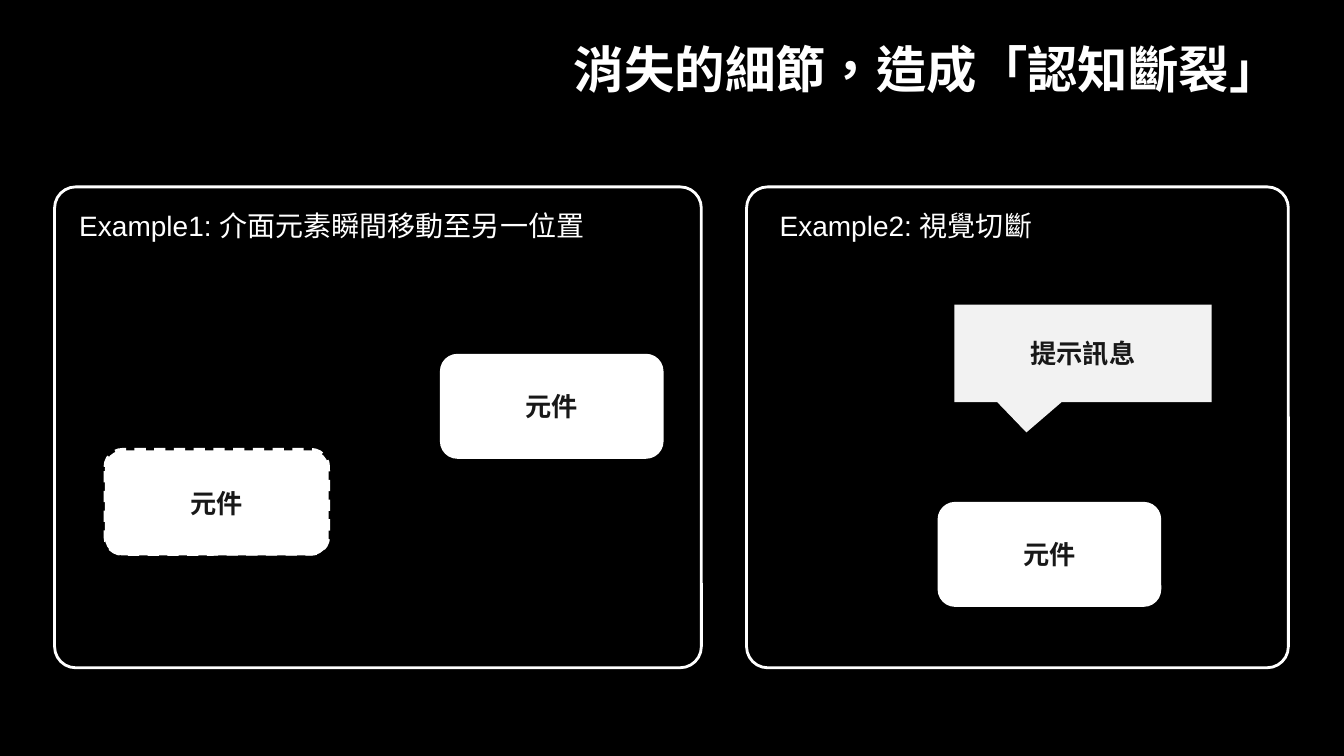
from dataclasses import dataclass
from typing import Optional

from lxml import etree
from pptx import Presentation
from pptx.dml.color import RGBColor
from pptx.enum import dml, lang, shapes, text
from pptx.oxml.ns import qn
from pptx.util import Pt

PX = 9525
WHITE, BLACK, INK, PALE = "FFFFFF", "000000", "181818", "F2F2F2"
CJK = "Noto Sans CJK SC"
ROUND = shapes.MSO_SHAPE.ROUNDED_RECTANGLE
CALLOUT = shapes.MSO_SHAPE.RECTANGULAR_CALLOUT


@dataclass
class Box:
    left: int
    top: int
    width: int
    height: int

    def emu(self) -> tuple:
        return tuple(n * PX for n in (self.left, self.top, self.width, self.height))


@dataclass
class Caption:
    box: Box
    words: str
    size: float = 20
    face: str = "Arial"
    bold: bool = False
    align: text.PP_ALIGN = text.PP_ALIGN.LEFT
    anchor: text.MSO_ANCHOR = text.MSO_ANCHOR.TOP
    inset: int = 5


@dataclass
class Block:
    box: Box
    words: str = ""
    fill: Optional[str] = None
    line: Optional[str] = None
    dashed: bool = False
    preset: shapes.MSO_SHAPE = ROUND
    adjust: tuple = ()


def colour(value: str) -> RGBColor:
    return RGBColor.from_string(value)


def write(frame, words: str, size: float, face: str, ink: str, bold: bool,
          align: text.PP_ALIGN, anchor: text.MSO_ANCHOR) -> None:
    frame.word_wrap = True
    frame.vertical_anchor = anchor
    paragraph = frame.paragraphs[0]
    paragraph.text = words
    paragraph.alignment = align
    font = paragraph.font
    font.size, font.name, font.bold = Pt(size), face, bold
    font.language_id = lang.MSO_LANGUAGE_ID.TRADITIONAL_CHINESE
    font.fill.solid()
    font.fill.fore_color.rgb = colour(ink)
    properties = paragraph._p.pPr.find(qn("a:defRPr"))
    etree.SubElement(properties, qn("a:ea")).set("typeface", CJK)


def draw_caption(slide, caption: Caption) -> None:
    frame = slide.shapes.add_textbox(*caption.box.emu()).text_frame
    frame.margin_top = frame.margin_bottom = caption.inset * PX
    write(frame, caption.words, caption.size, caption.face, WHITE, caption.bold,
          caption.align, caption.anchor)


def draw_block(slide, block: Block) -> None:
    shape = slide.shapes.add_shape(block.preset, *block.box.emu())
    shape.shadow.inherit = False
    for index, value in enumerate(block.adjust):
        shape.adjustments[index] = value
    if block.fill:
        shape.fill.solid()
        shape.fill.fore_color.rgb = colour(block.fill)
    else:
        shape.fill.background()
    if block.line:
        shape.line.color.rgb = colour(block.line)
        shape.line.width = Pt(2)
        if block.dashed:
            shape.line.dash_style = dml.MSO_LINE.DASH
    else:
        shape.line.fill.background()
    if block.words:
        write(shape.text_frame, block.words, 18.7, "Arial", INK, True,
              text.PP_ALIGN.CENTER, text.MSO_ANCHOR.MIDDLE)


def component(left: int, top: int) -> Block:
    return Block(Box(left, top, 213, 100), "元件", WHITE)


def panel(left: int, width: int) -> Block:
    return Block(Box(left, 178, width, 458), line=WHITE, adjust=(0.044,))


CAPTIONS = [
    Caption(Box(223, 37, 1005, 57), "消失的細節，造成「認知斷裂」", 36, CJK, True,
            text.PP_ALIGN.RIGHT, text.MSO_ANCHOR.MIDDLE, 10),
    Caption(Box(66, 194, 574, 42), "Example1: 介面元素瞬間移動至另一位置"),
    Caption(Box(733, 194, 457, 42), "Example2: 視覺切斷"),
]
BLOCKS = [
    component(100, 429),
    component(419, 337),
    component(893, 478),
    Block(Box(909, 290, 245, 93), "提示訊息", PALE, preset=CALLOUT, adjust=(-0.22, 0.81)),
    panel(52, 616),
    panel(711, 516),
    Block(Box(100, 428, 213, 100), line=WHITE, dashed=True),
]


def main() -> None:
    deck = Presentation()
    deck.slide_width, deck.slide_height = 1280 * PX, 720 * PX
    slide = deck.slides.add_slide(deck.slide_layouts[6])
    slide.background.fill.solid()
    slide.background.fill.fore_color.rgb = colour(BLACK)
    for caption in CAPTIONS:
        draw_caption(slide, caption)
    for block in BLOCKS:
        draw_block(slide, block)
    deck.save("out.pptx")


if __name__ == "__main__":
    main()
